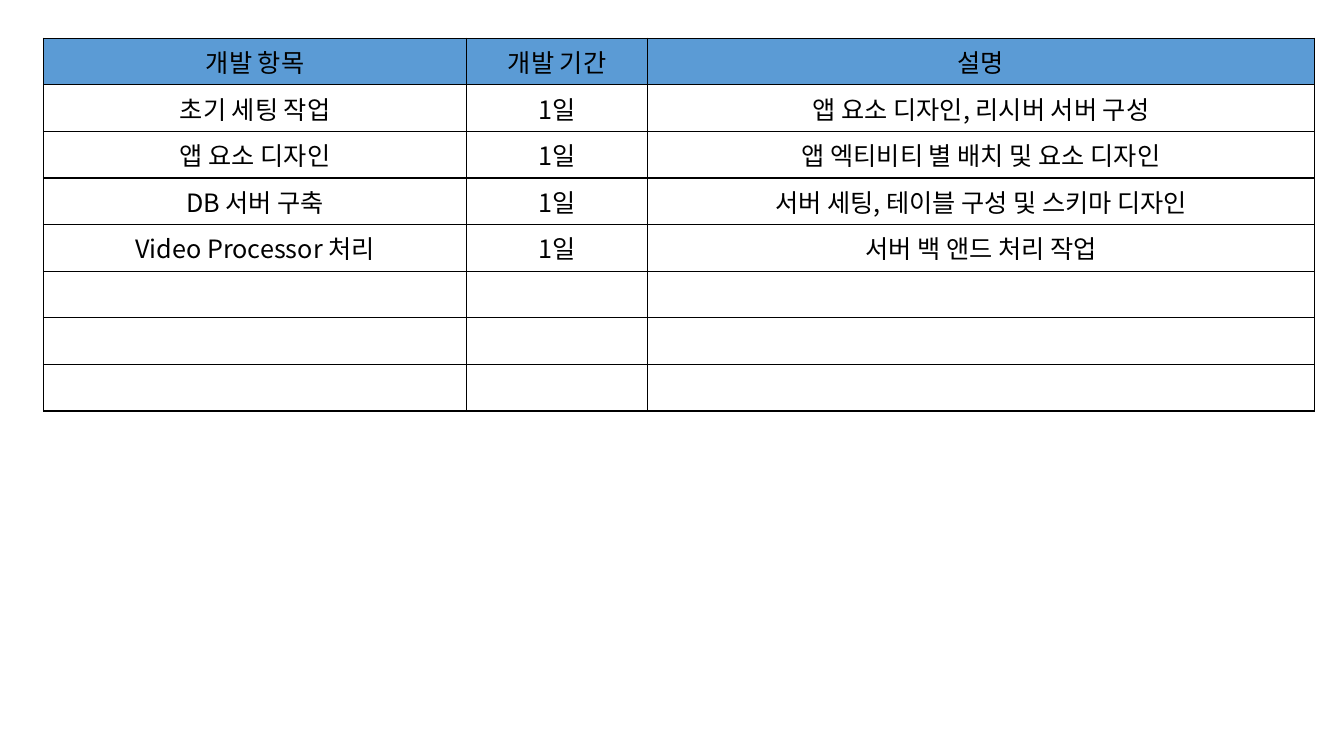
from lxml.etree import SubElement
from pptx import Presentation
from pptx.dml.color import RGBColor
from pptx.enum.text import PP_ALIGN as Align
from pptx.oxml.ns import qn
from pptx.util import Inches, Pt

FONT = "Noto Sans CJK KR"
HEADER_FILL = "5B9BD5"
BLACK = "000000"


def color(value):
    return RGBColor.from_string(value)


def add_border(cell):
    props = cell._tc.get_or_add_tcPr()
    for position, side in enumerate(("lnL", "lnR", "lnT", "lnB")):
        line = SubElement(props, qn(f"a:{side}"), w=str(Pt(1)))
        fill = SubElement(line, qn("a:solidFill"))
        SubElement(fill, qn("a:srgbClr"), val=BLACK)
        props.insert(position, line)  # borders come before the fill


deck = Presentation()
deck.slide_width, deck.slide_height = Inches(13.33), Inches(7.5)
page = deck.slides.add_slide(deck.slide_layouts[6])

# Schedule: item, duration, description; the last rows are left open
blank_row = ("", "", "")
schedule = [
    ("개발 항목", "개발 기간", "설명"),
    ("초기 세팅 작업", "1일", "앱 요소 디자인, 리시버 서버 구성"),
    ("앱 요소 디자인", "1일", "앱 엑티비티 별 배치 및 요소 디자인"),
    ("DB 서버 구축", "1일", "서버 세팅, 테이블 구성 및 스키마 디자인"),
    ("Video Processor 처리", "1일", "서버 백 앤드 처리 작업"),
    blank_row, blank_row, blank_row,
]
column_widths = (4.2, 1.79, 6.62)

# Table frame
table = page.shapes.add_table(
    len(schedule), len(column_widths), Inches(0.43), Inches(0.38),
    Inches(sum(column_widths)), Inches(3.24)).table
table.first_row = table.horz_banding = False
for column, width in zip(table.columns, column_widths):
    column.width = Inches(width)

# Cells
for row_index, row in enumerate(schedule):
    for column_index, text in enumerate(row):
        cell = table.cell(row_index, column_index)
        if row_index == 0:
            cell.fill.solid()
            cell.fill.fore_color.rgb = color(HEADER_FILL)
        else:
            cell.fill.background()
        add_border(cell)

        para = cell.text_frame.paragraphs[0]
        para.alignment = Align.CENTER
        if text:
            span = para.add_run()
            span.text = text
            span.font.size = Pt(18)
            span.font.name = FONT
            span.font.color.rgb = color(BLACK)
            SubElement(span.font._element, qn("a:ea"), typeface=FONT)
        else:
            # Keep open rows as tall as the filled ones
            ending = SubElement(para._p, qn("a:endParaRPr"), sz="1800")
            for script in ("latin", "ea"):
                SubElement(ending, qn(f"a:{script}"), typeface=FONT)

deck.save("out.pptx")
